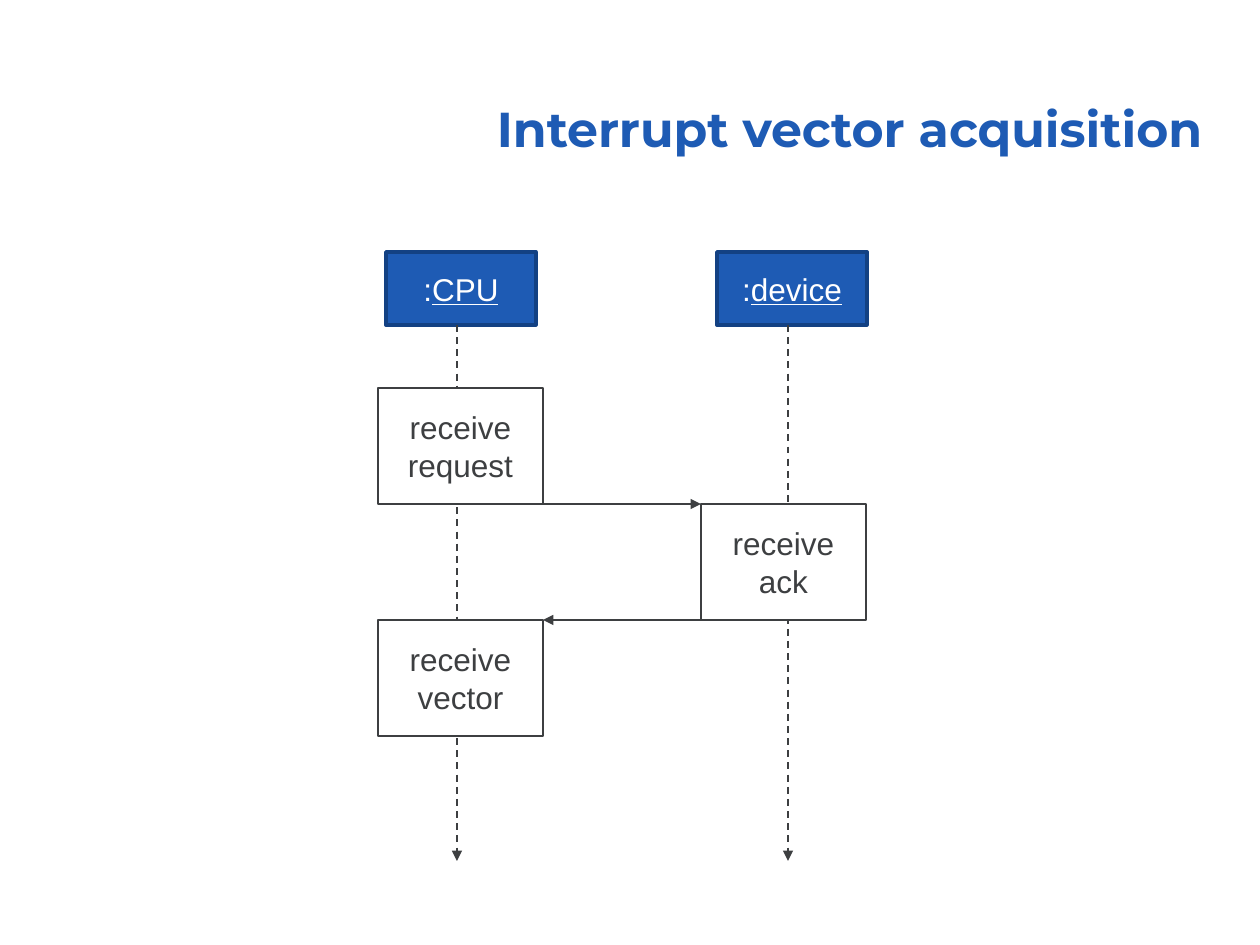
from collections import namedtuple
from dataclasses import dataclass

from lxml import etree
from pptx import Presentation
from pptx import util as u
from pptx.dml.color import RGBColor
from pptx.enum import dml, shapes, text
from pptx.oxml.ns import qn

PX_PER_INCH = 126


@dataclass(frozen=True)
class Theme:
    blue = RGBColor.from_string("1E5BB4")
    dark_blue = RGBColor.from_string("134183")
    ink = RGBColor.from_string("3D3F41")
    white = RGBColor.from_string("FFFFFF")
    title_font = "Montserrat"
    body_font = "Arial"
    title_size = u.Pt(28)
    body_size = u.Pt(18)
    thin = u.Pt(1)
    thick = u.Pt(2)


Lane = namedtuple("Lane", "name head_left lifeline_x state_left")
CPU = Lane("CPU", 386, 457, 378)
DEVICE = Lane("device", 717, 788, 701)

HEAD_TOP, HEAD_WIDTH, HEAD_HEIGHT = 252, 150, 73
LIFELINE_END = 861
STATES_TOP, STATE_WIDTH, STATE_HEIGHT = 388, 165, 116
STATES = [
    (CPU, ("receive", "request")),
    (DEVICE, ("receive", "ack")),
    (CPU, ("receive", "vector")),
]


def px(*lengths):
    return [u.Emu(round(length * u.Inches(1) / PX_PER_INCH)) for length in lengths]


def set_title(slide, wording):
    title = slide.shapes.title
    title.left, title.top, title.width, title.height = px(370, 67, 845, 97)
    frame = title.text_frame
    frame.text = wording
    frame.auto_size = text.MSO_AUTO_SIZE.NONE
    frame.vertical_anchor = text.MSO_ANCHOR.BOTTOM
    heading = frame.paragraphs[0]
    heading.alignment = text.PP_ALIGN.RIGHT
    heading.line_spacing = 0.9
    heading.font.name = Theme.title_font
    heading.font.size = Theme.title_size
    heading.font.bold = True
    heading.font.color.rgb = Theme.blue


def add_box(slide, bounds, fill, outline, weight):
    box = slide.shapes.add_shape(shapes.MSO_SHAPE.RECTANGLE, *px(*bounds))
    box.shadow.inherit = False
    box.fill.solid()
    box.fill.fore_color.rgb = fill
    box.line.color.rgb = outline
    box.line.width = weight
    box.text_frame.word_wrap = False
    box.text_frame.vertical_anchor = text.MSO_ANCHOR.MIDDLE
    return box.text_frame


def style_label(label, color):
    label.alignment = text.PP_ALIGN.CENTER
    label.font.name = Theme.body_font
    label.font.size = Theme.body_size
    label.font.color.rgb = color


def add_arrow(slide, start, end, dashed=False):
    arrow = slide.shapes.add_connector(
        shapes.MSO_CONNECTOR.STRAIGHT, *px(*start, *end))
    arrow.line.color.rgb = Theme.ink
    arrow.line.width = Theme.thin
    if dashed:
        arrow.line.dash_style = dml.MSO_LINE.DASH
    line = arrow.line._get_or_add_ln()
    etree.SubElement(line, qn("a:tailEnd"), type="triangle")
    etree.SubElement(arrow._element.spPr, qn("a:effectLst"))


def add_lane(slide, lane):
    bounds = (lane.head_left, HEAD_TOP, HEAD_WIDTH, HEAD_HEIGHT)
    head = add_box(slide, bounds, Theme.blue, Theme.dark_blue, Theme.thick)
    label = head.paragraphs[0]
    label.add_run().text = ":"
    name = label.add_run()
    name.text = lane.name
    name.font.underline = True
    style_label(label, Theme.white)
    add_arrow(slide, (lane.lifeline_x, HEAD_TOP + HEAD_HEIGHT),
              (lane.lifeline_x, LIFELINE_END), dashed=True)


def add_state(slide, lane, top, words):
    bounds = (lane.state_left, top, STATE_WIDTH, STATE_HEIGHT)
    state = add_box(slide, bounds, Theme.white, Theme.ink, Theme.thin)
    state.text = "\n".join(words)
    for label in state.paragraphs:
        style_label(label, Theme.ink)


def main():
    deck = Presentation()
    deck.slide_width, deck.slide_height = u.Inches(10), u.Inches(7.5)
    slide = deck.slides.add_slide(deck.slide_layouts.get_by_name("Title Only"))
    set_title(slide, "Interrupt vector acquisition")

    for lane in (CPU, DEVICE):
        add_lane(slide, lane)
    tops = [STATES_TOP + i * STATE_HEIGHT for i in range(len(STATES))]
    for top, (lane, words) in zip(tops, STATES):
        add_state(slide, lane, top, words)

    cpu_edge = CPU.state_left + STATE_WIDTH
    request_y, ack_y = tops[1:]
    add_arrow(slide, (cpu_edge, request_y), (DEVICE.state_left, request_y))
    add_arrow(slide, (DEVICE.state_left, ack_y), (cpu_edge, ack_y))
    deck.save("out.pptx")


if __name__ == "__main__":
    main()
